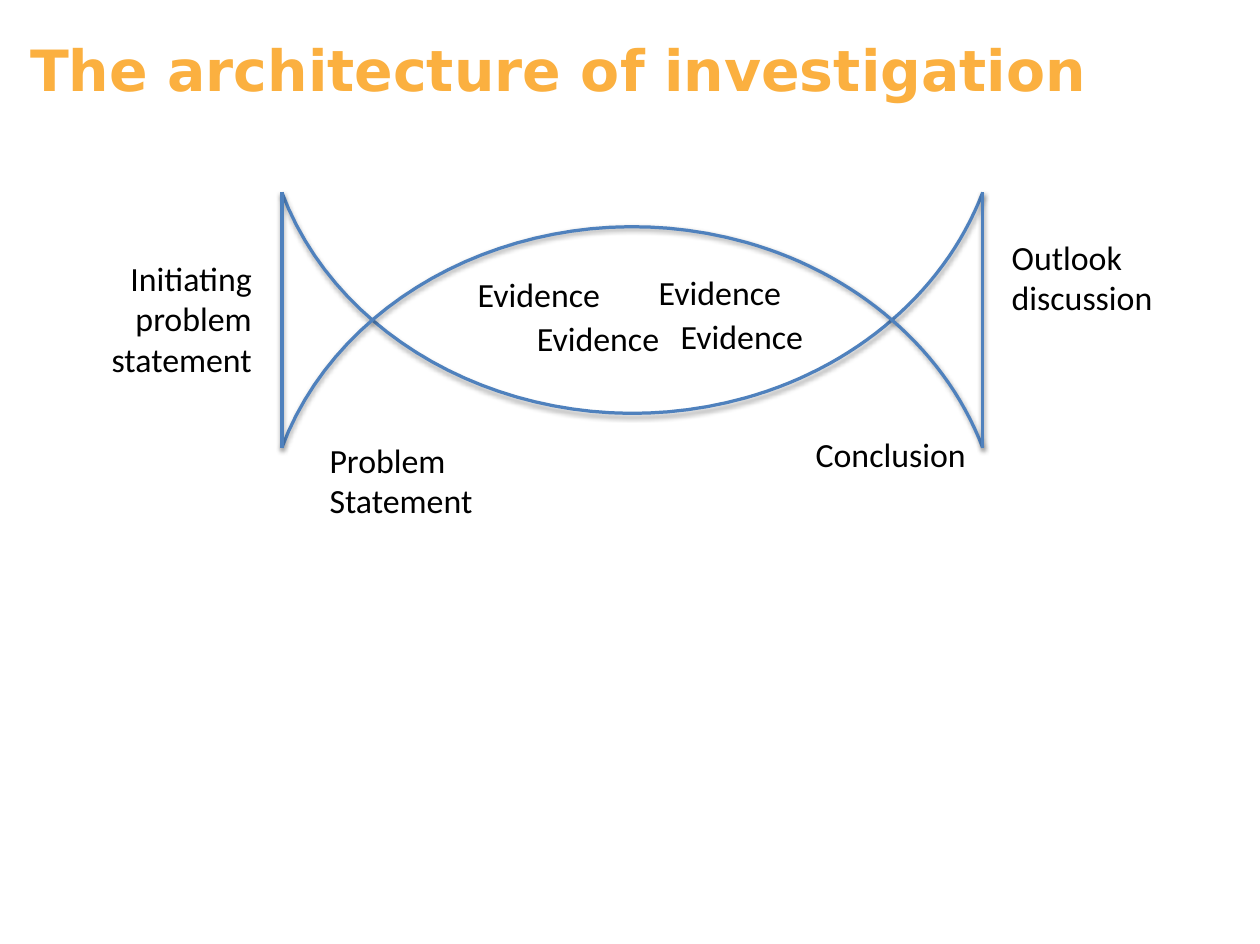
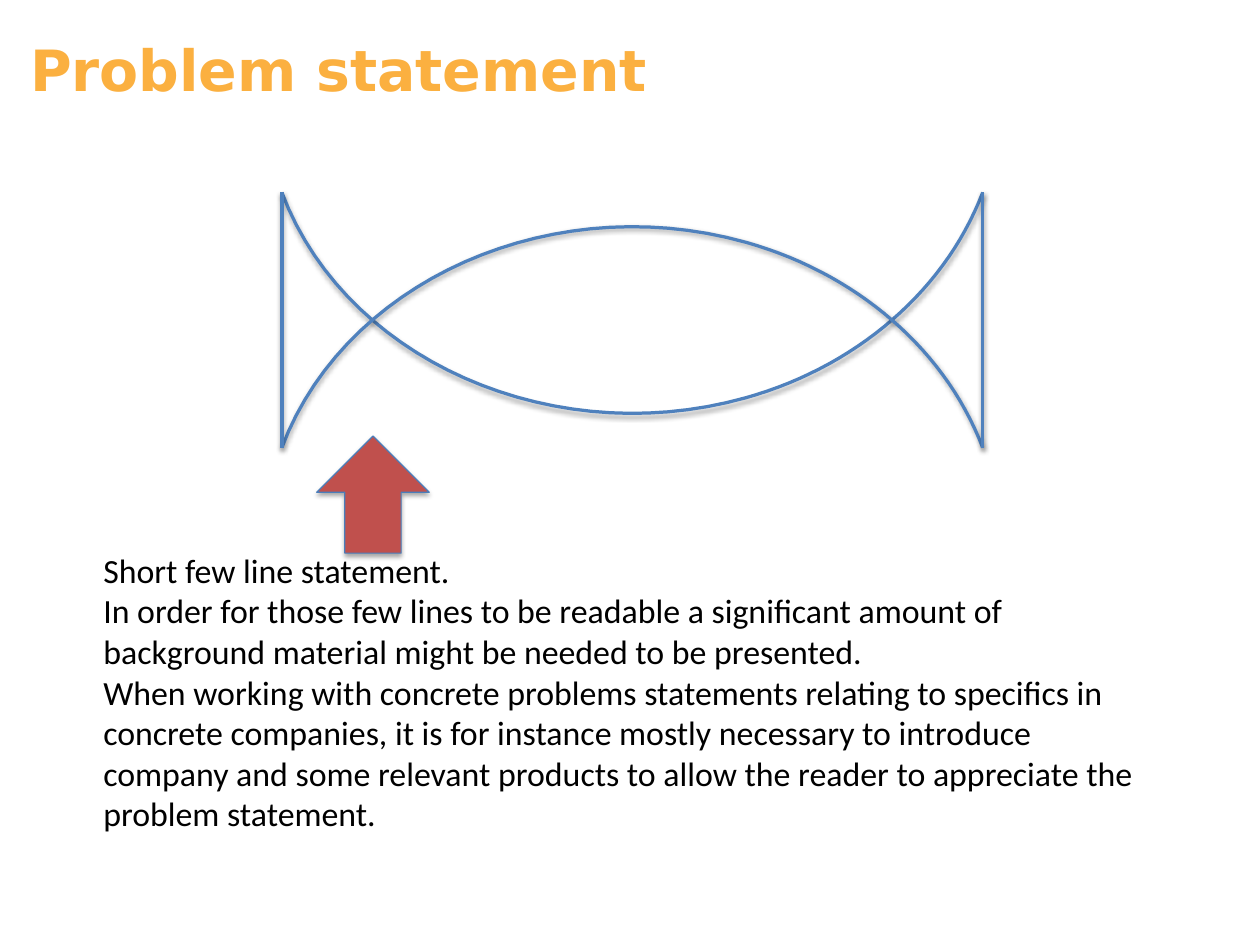
from lxml.etree import SubElement
from pptx import Presentation
from pptx.dml.color import RGBColor
from pptx.enum.shapes import MSO_CONNECTOR, MSO_SHAPE
from pptx.enum.text import MSO_AUTO_SIZE, PP_ALIGN
from pptx.oxml.ns import qn
from pptx.util import Inches, Pt

ORANGE = RGBColor(0xFB, 0xB0, 0x40)
BLACK = RGBColor(0x00, 0x00, 0x00)
BLUE = RGBColor(0x4F, 0x81, 0xBD)
ARROW_BLUE = RGBColor(0x4A, 0x7E, 0xBB)
RED = RGBColor(0xC0, 0x50, 0x4D)

FISH_LEFT, FISH_RIGHT = 2.43, 8.47
FISH_TOP, FISH_BOTTOM = 1.66, 3.86
LOWER_ARC = [
    [(2.43, 1.66), (2.97, 3.1), (4.76, 3.9), (6.43, 3.43)],
    [(6.43, 3.43), (7.39, 3.16), (8.15, 2.5), (8.47, 1.66)],
]
CURVE_STEPS = 30

LABELS = [
    (0.9, 2.17, 1.32, 1.12, ["Initiating", "problem", "statement"], PP_ALIGN.RIGHT),
    (2.79, 3.74, 1.35, 0.76, ["Problem", "Statement"], PP_ALIGN.LEFT),
    (6.98, 3.69, 1.41, 0.4, ["Conclusion"], PP_ALIGN.LEFT),
    (8.67, 1.99, 1.33, 0.76, ["Outlook", "discussion"], PP_ALIGN.LEFT),
]
EVIDENCE_PLACES = [(4.06, 2.31), (4.57, 2.69), (5.62, 2.29), (5.81, 2.67)]

STATEMENT = [
    "Short few line statement.",
    "In order for those few lines to be readable a significant amount of "
    "background material might be needed to be presented.",
    "When working with concrete problems statements relating to specifics in "
    "concrete companies, it is for instance mostly necessary to introduce "
    "company and some relevant products to allow the reader to appreciate "
    "the problem statement.",
]


def add_text(page, left, top, width, height, lines, align=PP_ALIGN.LEFT, wrap=False,
             size=21, font="Calibri", color=BLACK, bold=False):
    box = page.shapes.add_textbox(Inches(left), Inches(top), Inches(width), Inches(height))
    frame = box.text_frame
    frame.margin_left = frame.margin_right = Inches(0.05)
    frame.margin_top = frame.margin_bottom = Inches(0.05)
    frame.text = "\n".join(lines)
    frame.word_wrap = wrap
    frame.auto_size = MSO_AUTO_SIZE.SHAPE_TO_FIT_TEXT
    for paragraph in frame.paragraphs:
        paragraph.alignment = align
        for span in paragraph.runs:
            span.font.size = Pt(size)
            span.font.name = font
            span.font.bold = bold
            span.font.color.rgb = color


def add_title(page, title):
    add_text(page, 0.21, 0.25, 10.5, 0.68, [title], wrap=True,
             size=35.3, font="DejaVu Sans", color=ORANGE, bold=True)


def set_outline(shape, color, width, distance, opacity):
    shape.line.color.rgb = color
    shape.line.width = Pt(width)
    effects = SubElement(shape.element.spPr, qn("a:effectLst"))
    shadow = SubElement(effects, qn("a:outerShdw"), blurRad=str(Pt(3)),
                        dist=str(Pt(distance)), dir="5400000", rotWithShape="0")
    shade = SubElement(shadow, qn("a:srgbClr"), val=str(BLACK))
    SubElement(shade, qn("a:alpha"), val=str(opacity * 1000))


def curve_point(corners, t):
    weights = ((1 - t) ** 3, 3 * t * (1 - t) ** 2, 3 * t ** 2 * (1 - t), t ** 3)
    return tuple(Inches(sum(weight * corner[axis] for weight, corner in zip(weights, corners)))
                 for axis in (0, 1))


def add_arc(shapes, curves):
    points = [curve_point(corners, step / CURVE_STEPS)
              for corners in curves for step in range(1, CURVE_STEPS + 1)]
    builder = shapes.build_freeform(*curve_point(curves[0], 0))
    builder.add_line_segments(points, close=False)
    arc = builder.convert_to_shape()
    arc.fill.background()
    set_outline(arc, BLUE, 2, 1.6, 38)


def add_fish(page):
    shapes = page.shapes.add_group_shape().shapes
    upper_arc = [[(x, FISH_TOP + FISH_BOTTOM - y) for x, y in corners]
                 for corners in LOWER_ARC]
    for curves in (LOWER_ARC, upper_arc):
        add_arc(shapes, curves)
    for x in (FISH_RIGHT, FISH_LEFT):
        side = shapes.add_connector(MSO_CONNECTOR.STRAIGHT, Inches(x), Inches(FISH_TOP),
                                    Inches(x), Inches(FISH_BOTTOM))
        set_outline(side, BLUE, 2, 1.6, 38)


def add_up_arrow(page, left, top, width, height):
    arrow = page.shapes.add_shape(MSO_SHAPE.UP_ARROW, Inches(left), Inches(top),
                                  Inches(width), Inches(height))
    arrow.fill.solid()
    arrow.fill.fore_color.rgb = RED
    set_outline(arrow, ARROW_BLUE, 0.75, 1.8, 35)


def add_fish_page(deck, title):
    page = deck.slides.add_slide(deck.slide_layouts[6])
    add_title(page, title)
    add_fish(page)
    return page


def main():
    deck = Presentation()
    deck.slide_width, deck.slide_height = Inches(10.86), Inches(8.14)

    page = add_fish_page(deck, "The architecture of investigation")
    for label in LABELS:
        add_text(page, *label)
    for left, top in EVIDENCE_PLACES:
        add_text(page, left, top, 1.17, 0.4, ["Evidence"], PP_ALIGN.CENTER)

    page = add_fish_page(deck, "Problem statement")
    add_text(page, 0.84, 4.69, 9.15, 2.56, STATEMENT, wrap=True)
    add_up_arrow(page, 2.73, 3.76, 0.97, 1.01)

    deck.save("out.pptx")


if __name__ == "__main__":
    main()
